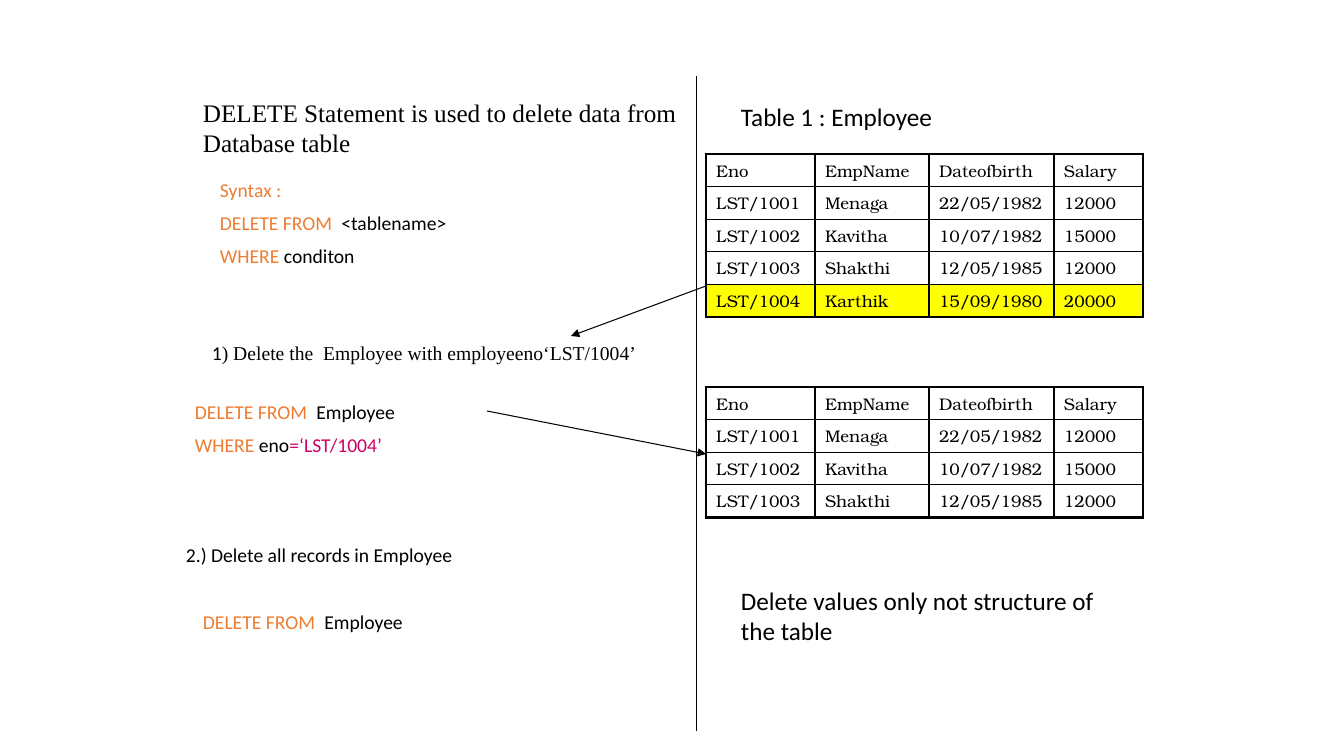
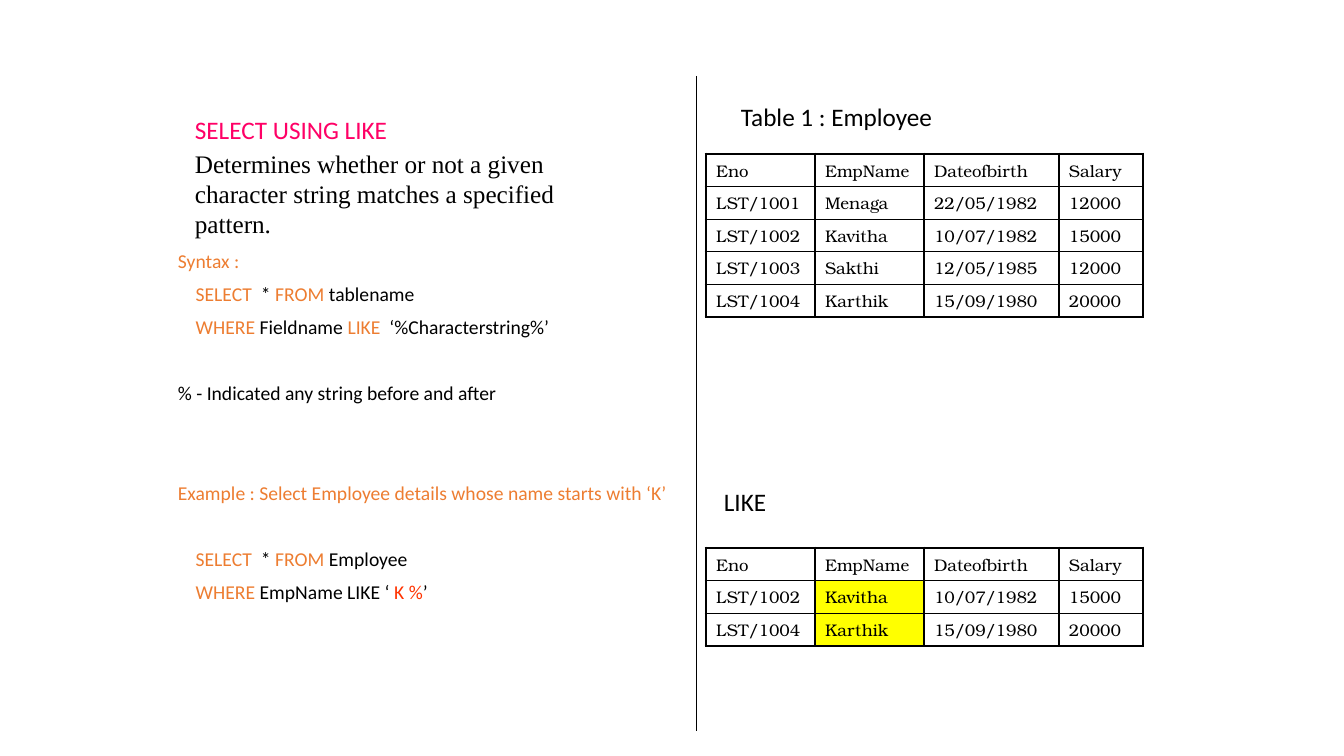
from lxml.etree import SubElement
from pptx import Presentation
from pptx.dml.color import RGBColor
from pptx.enum.shapes import MSO_CONNECTOR as Connector
from pptx.enum.text import MSO_AUTO_SIZE as AutoSize
from pptx.oxml.ns import qn
from pptx.util import Emu, Pt

# Shared measures and styles
EMU_PER_PX = 914400 / 100.8
SLIDE_W, SLIDE_H = 1344, 756
BLACK, WHITE, YELLOW = "000000", "FFFFFF", "FFFF00"
SANS, SERIF, TABLE_FONT = "Calibri", "Times New Roman", "TeX Gyre Bonum"
STYLES = {
    "plain": {"name": SANS, "color": BLACK},
    "serif": {"name": SERIF, "color": BLACK},
    "keyword": {"name": SANS, "color": "ED7D31"},
    "value": {"name": SANS, "color": "CC0066"},
    "pattern": {"name": SANS, "color": "FF3300"},
    "heading": {"name": SANS, "color": "FF0066"},
    "cell": {"name": TABLE_FONT, "color": BLACK},
}
HEADING, BODY, CELL = 18, 14, 12
NEXT_LINE, NEW_PART = 6.7, 30.5  # points before a paragraph
TABLE_X, ROW_H = 706, 30
THIN, THICK = 1, 2.25
DIVIDER = ((697, 76), (697, 731), False)
TABLE_TITLE = ((731, 96, 395, 40), HEADING,
               [(0, [("Table 1 : Employee", "plain")])])

# Content: employee records
FIELDS = ("Eno", "EmpName", "Dateofbirth", "Salary")
MENAGA = ("LST/1001", "Menaga", "22/05/1982", "12000")
KAVITHA = ("LST/1002", "Kavitha", "10/07/1982", "15000")
SHAKTHI = ("LST/1003", "Shakthi", "12/05/1985", "12000")
SAKTHI = ("LST/1003", "Sakthi", "12/05/1985", "12000")
KARTHIK = ("LST/1004", "Karthik", "15/09/1980", "20000")

# Content: texts are (box, size, [(space before, [(text, style)])]),
# tables are (top, rows, highlighted cells), lines are (from, to, arrow)
DELETE_SLIDE = {
    "columns": (109, 114, 125, 89),
    "tables": [
        (154, [FIELDS, MENAGA, KAVITHA, SHAKTHI, KARTHIK],
         {(4, column) for column in range(4)}),
        (387, [FIELDS, MENAGA, KAVITHA, SHAKTHI], set()),
    ],
    "lines": [((706, 286), (571, 336), True), ((487, 411), (706, 454), True)],
    "texts": [
        ((193, 92, 529, 71), HEADING, [
            (0, [("DELETE Statement is used to delete data from Database table", "serif")]),
        ]),
        ((210, 173, 479, 105), BODY, [
            (0, [("Syntax :", "keyword")]),
            (NEXT_LINE, [("DELETE FROM  ", "keyword"), ("<tablename>", "plain")]),
            (NEXT_LINE, [("WHERE ", "keyword"), ("conditon", "plain")]),
        ]),
        ((202, 336, 487, 34), BODY, [
            (0, [("1", "plain"),
                 (") Delete the  Employee with employeeno‘LST/1004’", "serif")]),
        ]),
        ((185, 395, 504, 70), BODY, [
            (0, [("DELETE FROM  ", "keyword"), ("Employee", "plain")]),
            (NEXT_LINE, [("WHERE ", "keyword"), ("eno", "plain"),
                         ("=‘LST/1004’", "value")]),
        ]),
        ((176, 538, 504, 34), BODY, [
            (0, [("2.) Delete all records in Employee", "plain")]),
        ]),
        ((193, 605, 512, 34), BODY, [
            (0, [("DELETE FROM  ", "keyword"), ("Employee", "plain")]),
        ]),
        ((731, 580, 395, 71), HEADING, [
            (0, [("Delete values only not structure of the table", "plain")]),
        ]),
    ],
}
LIKE_SLIDE = {
    "columns": (109, 109, 135, 84),
    "tables": [
        (154, [FIELDS, MENAGA, KAVITHA, SAKTHI, KARTHIK], set()),
        (548, [FIELDS, KAVITHA, KARTHIK], {(1, 1), (2, 1)}),
    ],
    "lines": [],
    "texts": [
        ((185, 109, 562, 40), HEADING, [(0, [("SELECT USING LIKE", "heading")])]),
        ((185, 143, 454, 132), HEADING, [
            (0, [("Determines whether or not a given character string "
                  "matches a specified pattern.", "serif")]),
        ]),
        ((168, 244, 554, 176), BODY, [
            (0, [("Syntax :", "keyword")]),
            (NEXT_LINE, [("    SELECT", "keyword"), ("  * ", "plain"),
                         ("FROM", "keyword"), (" tablename", "plain")]),
            (NEXT_LINE, [("    WHERE", "keyword"), (" Fieldname ", "plain"),
                         ("LIKE", "keyword"), ("  ‘%Characterstring%’", "plain")]),
            (NEW_PART, [("% - Indicated any string before and after", "plain")]),
        ]),
        ((168, 476, 554, 141), BODY, [
            (0, [("Example : Select Employee details whose name starts with ‘K’",
                  "keyword")]),
            (NEW_PART, [("    SELECT", "keyword"), ("  * ", "plain"),
                        ("FROM", "keyword"), (" Employee", "plain")]),
            (NEXT_LINE, [("    WHERE", "keyword"), (" EmpName LIKE ‘ ", "plain"),
                         ("K %", "pattern"), ("’", "plain")]),
        ]),
        ((714, 481, 395, 40), HEADING, [(0, [("LIKE", "plain")])]),
    ],
}


def px(length):
    return Emu(round(length * EMU_PER_PX))


def rgb(value):
    return RGBColor.from_string(value)


def write(paragraph, text, style, size):
    run = paragraph.add_run()
    run.text = text
    for key, value in {"size": Pt(size), "name": STYLES[style]["name"]}.items():
        setattr(run.font, key, value)
    run.font.color.rgb = rgb(STYLES[style]["color"])


def add_text(slide, box, size, paragraphs):
    frame = slide.shapes.add_textbox(*map(px, box)).text_frame
    for key, value in {"word_wrap": True, "auto_size": AutoSize.SHAPE_TO_FIT_TEXT}.items():
        setattr(frame, key, value)
    for index, (space, runs) in enumerate(paragraphs):
        paragraph = frame.add_paragraph() if index else frame.paragraphs[0]
        if space:
            paragraph.space_before = Pt(space)
        for text, style in runs:
            write(paragraph, text, style, size)


def add_line(slide, start, end, arrow):
    line = slide.shapes.add_connector(Connector.STRAIGHT, *map(px, start + end))
    line.line.width = Pt(0.75)
    line.line.color.rgb = rgb(BLACK)
    if arrow:
        SubElement(line.line._get_or_add_ln(), qn("a:tailEnd"), type="triangle")
    SubElement(line._element.spPr, qn("a:effectLst"))


def set_borders(cell, outer_sides):
    properties = cell._tc.get_or_add_tcPr()
    for side, is_outer in outer_sides.items():
        width = Pt(THICK if is_outer else THIN)
        border = SubElement(properties, qn(f"a:ln{side}"), w=str(int(width)))
        fill = SubElement(border, qn("a:solidFill"))
        SubElement(fill, qn("a:srgbClr"), val=BLACK)


def add_records(slide, columns, top, rows, highlighted):
    last_row, last_column = len(rows) - 1, len(columns) - 1
    table = slide.shapes.add_table(
        len(rows), len(columns), px(TABLE_X), px(top),
        px(sum(columns)), px(ROW_H * len(rows))).table
    for key in ("first_row", "horz_banding"):
        setattr(table, key, False)
    for column, width in zip(table.columns, columns):
        column.width = px(width)
    for r, record in enumerate(rows):
        table.rows[r].height = px(ROW_H)
        for c, text in enumerate(record):
            cell = table.cell(r, c)
            set_borders(cell, {"L": c == 0, "R": c == last_column,
                               "T": r == 0, "B": r == last_row})
            cell.fill.solid()
            cell.fill.fore_color.rgb = rgb(YELLOW if (r, c) in highlighted else WHITE)
            write(cell.text_frame.paragraphs[0], text, "cell", CELL)


def build_slide(deck, content):
    slide = deck.slides.add_slide(deck.slide_layouts[6])
    for top, rows, highlighted in content["tables"]:
        add_records(slide, content["columns"], top, rows, highlighted)
    for line in [DIVIDER] + content["lines"]:
        add_line(slide, *line)
    for text in [TABLE_TITLE] + content["texts"]:
        add_text(slide, *text)


def main():
    deck = Presentation()
    deck.slide_width, deck.slide_height = px(SLIDE_W), px(SLIDE_H)
    for content in (DELETE_SLIDE, LIKE_SLIDE):
        build_slide(deck, content)
    deck.save("out.pptx")


if __name__ == "__main__":
    main()
